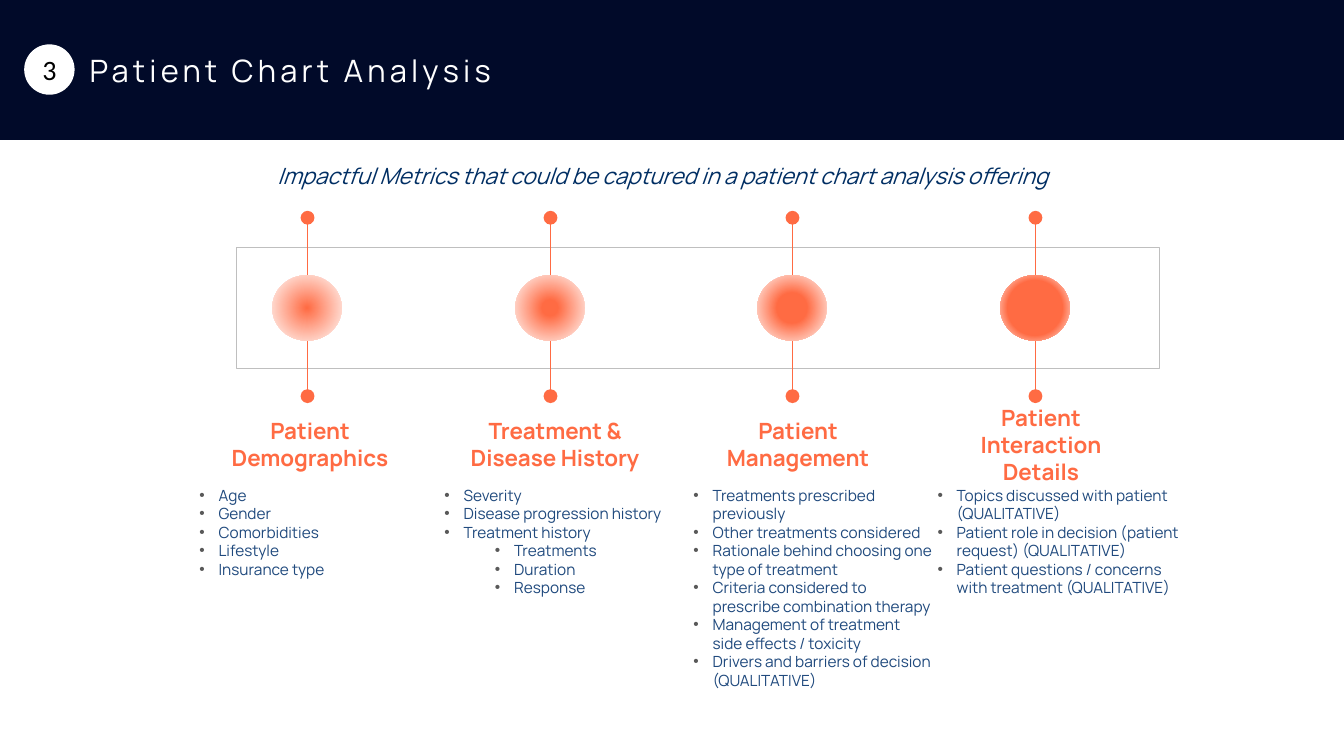
import pptx
import pptx.dml.color
import pptx.enum.shapes
import pptx.enum.text
import pptx.oxml
import pptx.oxml.ns
import pptx.util
from lxml import etree

PX = 9144
NAVY, WHITE, ORANGE, GREY = "010A29", "FFFFFF", "FF6B43", "BFBFBF"
SHAPE = pptx.enum.shapes.MSO_SHAPE
ALIGN = pptx.enum.text.PP_ALIGN
ANCHOR = pptx.enum.text.MSO_ANCHOR
qn = pptx.oxml.ns.qn

METRICS = [
    ("Patient Demographics", (205, 205), (188, 265), 0,
     [("Age", 0), ("Gender", 0), ("Comorbidities", 0), ("Lifestyle", 0),
      ("Insurance type", 0)]),
    ("Treatment & Disease History", (448, 205), (431, 265), 16,
     [("Severity", 0), ("Disease progression history", 0),
      ("Treatment history", 0), ("Treatments", 1), ("Duration", 1),
      ("Response", 1)]),
    ("Patient Management", (689, 205), (678, 257), 31,
     [("Treatments prescribed previously", 0),
      ("Other treatments considered", 0),
      ("Rationale behind choosing one type of treatment", 0),
      ("Criteria considered to prescribe combination therapy", 0),
      ("Management of treatment side effects / toxicity", 0),
      ("Drivers and barriers of decision (QUALITATIVE)", 0)]),
    ("Patient Interaction Details", (924, 217), (920, 265), 57,
     [("Topics discussed with patient (QUALITATIVE)", 0),
      ("Patient role in decision (patient request) (QUALITATIVE)", 0),
      ("Patient questions / concerns with treatment (QUALITATIVE)", 0)]),
]


def px(*lengths):
    return [pptx.util.Emu(length * PX) for length in lengths]


def color(hex_string):
    return pptx.dml.color.RGBColor.from_string(hex_string)


def add_shape(slide, kind, box, fill=None, line=None, weight=0.75):
    shape = slide.shapes.add_shape(kind, *px(*box))
    shape.shadow.inherit = False
    if fill:
        shape.fill.solid()
        shape.fill.fore_color.rgb = color(fill)
    else:
        shape.fill.background()
    if line:
        shape.line.color.rgb = color(line)
        shape.line.width = pptx.util.Pt(weight)
    else:
        shape.line.fill.background()
    return shape


def style(paragraph, size, ink, font="Manrope", align=ALIGN.LEFT):
    paragraph.alignment = align
    paragraph.font.size = pptx.util.Pt(size)
    paragraph.font.name = font
    paragraph.font.color.rgb = color(ink)


def add_text(slide, box, inset=(10, 5), anchor=ANCHOR.TOP):
    frame = slide.shapes.add_textbox(*px(*box)).text_frame
    frame.word_wrap = True
    frame.vertical_anchor = anchor
    frame.margin_left = frame.margin_right = px(inset[0])[0]
    frame.margin_top = frame.margin_bottom = px(inset[1])[0]
    return frame


def add_bullet(paragraph, level):
    properties = paragraph._p.get_or_add_pPr()
    properties.set("marL", str((19 + 50 * level) * PX))
    properties.set("indent", str(-19 * PX))
    bullet_color = etree.SubElement(properties, qn("a:buClr"))
    etree.SubElement(bullet_color, qn("a:srgbClr"), val="595959")
    etree.SubElement(properties, qn("a:buFont"), typeface="Arial")
    etree.SubElement(properties, qn("a:buChar"), char="•")


def add_glow(circle, core):
    stops = "".join(
        f'<a:gs pos="{position * 1000}"><a:srgbClr val="{hue}"/></a:gs>'
        for position, hue in sorted({(0, ORANGE), (core, ORANGE), (100, WHITE)}))
    gradient = pptx.oxml.parse_xml(
        f'<a:gradFill {pptx.oxml.ns.nsdecls("a")} rotWithShape="1">'
        f'<a:gsLst>{stops}</a:gsLst><a:path path="circle">'
        '<a:fillToRect l="50000" t="50000" r="50000" b="50000"/>'
        '</a:path></a:gradFill>')
    properties = circle._element.spPr
    properties.replace(properties.find(qn("a:noFill")), gradient)


def add_header(slide, left, top):
    badge = add_shape(slide, SHAPE.OVAL, (left + 24, top + 44, 50, 50), WHITE)
    frame = badge.text_frame
    frame.margin_left = frame.margin_right = 0
    frame.margin_top = frame.margin_bottom = 0
    frame.vertical_anchor = ANCHOR.MIDDLE
    number = frame.paragraphs[0]
    number.text = "3"
    style(number, 20, "000000", "Calibri", ALIGN.CENTER)

    title = add_text(slide, (left + 89, top + 51, 816, 37), (0, 0)).paragraphs[0]
    title.text = "Patient Chart Analysis"
    style(title, 22, WHITE)
    title.runs[0]._r.get_or_add_rPr().set("spc", "300")


def add_subtitle(slide, box):
    subtitle = add_text(slide, box).paragraphs[0]
    subtitle.text = ("Impactful Metrics that could be captured in a "
                     "patient chart analysis offering")
    style(subtitle, 16, "002E63", align=ALIGN.CENTER)
    subtitle.font.italic = True


def add_marker(slide, center, top, height, core):
    stem = slide.shapes.add_connector(
        pptx.enum.shapes.MSO_CONNECTOR.STRAIGHT,
        *px(center, top, center, top + height))
    stem.line.color.rgb = color(ORANGE)
    stem.line.width = pptx.util.Pt(0.75)
    outline = stem.line._get_or_add_ln()
    for end in ("a:headEnd", "a:tailEnd"):
        etree.SubElement(outline, qn(end), type="oval", w="lg", len="lg")
    etree.SubElement(stem._element.spPr, qn("a:effectLst"))
    circle = add_shape(slide, SHAPE.OVAL, (center - 35, top + 57, 69, 65))
    add_glow(circle, core)


def add_metric(slide, top, heading, heading_span, list_span, items):
    left, width = heading_span
    label = add_text(slide, (left, top, width, 40),
                     anchor=ANCHOR.MIDDLE).paragraphs[0]
    label.text = heading
    style(label, 16, ORANGE, align=ALIGN.CENTER)
    label.font.bold = True

    left, width = list_span
    frame = add_text(slide, (left, top + 56, width, 70))
    for index, (item, level) in enumerate(items):
        paragraph = frame.add_paragraph() if index else frame.paragraphs[0]
        paragraph.text = item
        paragraph.level = level
        add_bullet(paragraph, level)
        style(paragraph, 11, "1F497D")


def add_timeline(slide, left, top):
    add_shape(slide, SHAPE.RECTANGLE, (left, top, 915, 120), line=GREY)
    for index, (heading, heading_span, list_span, core, items) in enumerate(METRICS):
        center = left + 70 + round(index * 722 / 3)
        add_marker(slide, center, top - 30, 177, core)
        add_metric(slide, top + 175, heading, heading_span, list_span, items)


def main():
    deck = pptx.Presentation()
    deck.slide_width, deck.slide_height = px(1333, 750)
    slide = deck.slides.add_slide(deck.slide_layouts[6])
    slide.background.fill.solid()
    slide.background.fill.fore_color.rgb = color(NAVY)
    add_shape(slide, SHAPE.RECTANGLE, (0, 140, 1333, 610), WHITE, WHITE, 2)
    add_timeline(slide, 235, 246)
    add_subtitle(slide, (6, 156, 1303, 37))
    add_header(slide, 0, 0)
    deck.save("out.pptx")


if __name__ == "__main__":
    main()
